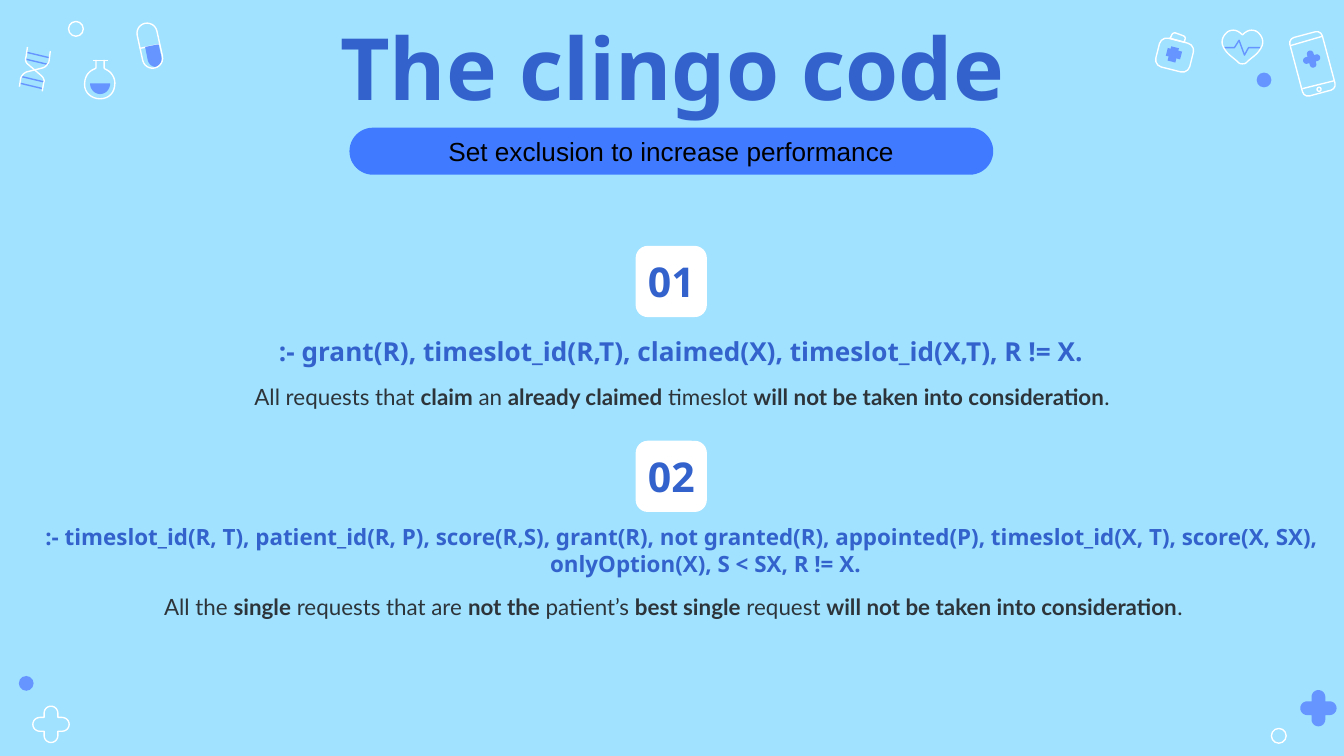
from math import cos, radians, sin
from pptx import Presentation
from pptx.dml.color import RGBColor
from pptx.enum.shapes import MSO_CONNECTOR, MSO_SHAPE
from pptx.enum.text import MSO_ANCHOR, MSO_AUTO_SIZE, PP_ALIGN
from pptx.oxml.ns import qn
from pptx.util import Inches, Pt
from lxml import etree

ROUND, OVAL, RECT = MSO_SHAPE.ROUNDED_RECTANGLE, MSO_SHAPE.OVAL, MSO_SHAPE.RECTANGLE
TOP, MID, LOW = MSO_ANCHOR.TOP, MSO_ANCHOR.MIDDLE, MSO_ANCHOR.BOTTOM
WIDE = 10
HIGH = WIDE * 9 / 16
SKY, WHITE, SOFT = "A0E2FF", "FFFFFF", "6695FF"
BLUE, PILL, INK, BLACK = "3362CC", "407BFF", "2E353A", "000000"

# Content; asterisks switch bold on and off
TITLE = "The clingo code"
BANNER = "Set exclusion to increase performance"
RULES = [
    dict(num="01",
         code=":- grant(R), timeslot_id(R,T), claimed(X), timeslot_id(X,T), R != X.",
         size=14, spot=(0.92, 2.12, 8.15, 0.71),
         note="All requests that *claim* an *already claimed* timeslot "
              "*will not be taken into consideration*.",
         place=(0, 2.75, 10, 0.49)),
    dict(num="02",
         code=":- timeslot_id(R, T), patient_id(R, P), score(R,S), grant(R), "
              "not granted(R), appointed(P), timeslot_id(X, T), score(X, SX), "
              "onlyOption(X), S < SX, R != X.",
         size=12, spot=(-0.18, 3.68, 10.36, 0.71),
         note="All the *single* requests that are *not the* patient’s *best single* "
              "request *will not be taken into consideration*.",
         place=(-0.13, 4.31, 10.13, 0.78)),
]

# Icon outlines in hundredths of an inch: (x, y) is a line, six numbers a curve
# Each entry: fill, line, closed, path
ICONS = [
    # DNA strands
    (None, WHITE, False, [(20.5, 35), (19.5, 42), (18.5, 45, 19.5, 47, 21, 48),
                          (31, 56.5), (32.5, 58, 33.5, 60, 32.5, 62), (31.5, 68)]),
    (None, WHITE, False, [(37.5, 38), (36.5, 46), (35.5, 48, 34.5, 49.5, 32, 50.5),
                          (20, 53.5), (17.5, 54.5, 16.5, 56, 15.5, 58), (14.5, 64.5)]),
    # Capsule filling
    (SOFT, None, True, [(108, 35), (110, 45), (111, 48, 113, 50, 117, 50),
                        (119, 49, 121, 46, 120, 42), (118, 33)]),
    # Flask liquid and glass
    (SOFT, None, True, [(67, 62), (67, 66, 70, 70, 74.5, 70), (79, 70, 82, 66, 82, 62)]),
    (None, WHITE, False, [(71.5, 44.5), (71.5, 50), (71.5, 51, 71, 51, 70, 51.5),
                          (65, 53.5, 63, 58, 63, 63), (63, 69, 68, 73.5, 74.5, 73.5),
                          (81, 73.5, 85.5, 69, 85.5, 62), (85.5, 57.5, 83, 53.5, 78.5, 51.5),
                          (77.5, 51, 77.5, 50.5, 77.5, 50), (77.5, 44.5)]),
    # Pulse and heart
    (None, SOFT, False, [(911, 35.5), (918.5, 35.5), (922, 30), (926, 41),
                         (929, 35.5), (938, 35.5)]),
    (None, WHITE, True, [(924.5, 26), (920, 21, 915, 22, 912.5, 24.5),
                         (908.5, 28.5, 908.5, 33, 911.5, 37), (914, 41, 918, 43, 921.5, 46.5),
                         (922.5, 47.5, 923.5, 47.5, 924.5, 47.5),
                         (925.5, 47.5, 926.5, 47.5, 927.5, 46.5),
                         (931, 43, 935, 41, 937.5, 37), (940.5, 33, 940.5, 28.5, 936.5, 24.5),
                         (934, 22, 929, 21, 924.5, 26)]),
    # Bag handle
    (None, WHITE, True, [(870.5, 28.5), (871.5, 27), (872, 25, 873, 24.5, 874.5, 24.5),
                         (880, 26.5), (881.5, 27, 882.5, 28, 881.5, 30), (881.5, 31.5)]),
]
# Kind, place, fill, line, turn, corner
SHAPES = [
    (ROUND, (1.04, 0.17, 0.15, 0.34), None, WHITE, 347.6, 0.5),
    (ROUND, (8.61, 0.3, 0.26, 0.22), None, WHITE, 14.2, 0.25),
    (RECT, (8.7, 0.35, 0.06, 0.11), SOFT, None, 14.2, None),
    (RECT, (8.68, 0.37, 0.11, 0.06), SOFT, None, 14.2, None),
    (ROUND, (9.64, 0.25, 0.25, 0.45), None, WHITE, 345, 0.17),
    (OVAL, (9.8, 0.65, 0.03, 0.03), None, WHITE, 345, None),
    (OVAL, (0.51, 0.16, 0.11, 0.11), None, WHITE, 0, None),
    (OVAL, (9.46, 5.42, 0.11, 0.11), None, WHITE, 0, None),
    (OVAL, (9.35, 0.54, 0.11, 0.11), SOFT, None, 0, None),
    (OVAL, (0.14, 5.03, 0.11, 0.11), SOFT, None, 0, None),
]
LINES = [(x, y, x + 0.17, y + 0.04, SOFT) for x, y in
         [(0.2, 0.39), (0.19, 0.44), (0.16, 0.57), (0.15, 0.62)]]
LINES += [(1.04, 0.36, 1.19, 0.33, WHITE), (0.69, 0.45, 0.8, 0.45, WHITE),
          (9.6, 0.34, 9.84, 0.27, WHITE), (9.69, 0.66, 9.93, 0.6, WHITE)]
# Centre, size, fill, line, turn
PLUSES = [(9.76, 0.44, 0.13, SOFT, None, 345),
          (0.38, 5.39, 0.27, None, WHITE, 0),
          (9.81, 5.27, 0.27, SOFT, None, 0)]


def tint(code):
    return RGBColor.from_string(code)


def paint(shape, fill, line, turn=0):
    shape.shadow.inherit = False
    if fill:
        shape.fill.solid()
        shape.fill.fore_color.rgb = tint(fill)
    else:
        shape.fill.background()
    if line:
        shape.line.color.rgb = tint(line)
        shape.line.width = Pt(0.75)
    else:
        shape.line.fill.background()
    shape.rotation = turn


def block(kind, place, fill, line=None, turn=0, corner=None):
    shape = slide.shapes.add_shape(kind, *map(Inches, place))
    if corner is not None:
        shape.adjustments[0] = corner
    paint(shape, fill, line, turn)
    return shape


def draw(points, fill, line, closed=True, turn=0):
    spots = [(Inches(x), Inches(y)) for x, y in points]
    form = slide.shapes.build_freeform(*spots[0], scale=1)
    form.add_line_segments(spots[1:], close=closed)
    paint(form.convert_to_shape(), fill, line, turn)


def trace(steps, parts=8):
    out = []
    for step in steps:
        if len(step) == 2:
            out.append(step)
            continue
        knots = [out[-1], step[:2], step[2:4], step[4:]]
        for i in range(1, parts + 1):
            t = i / parts
            mix = ((1 - t) ** 3, 3 * t * (1 - t) ** 2, 3 * t * t * (1 - t), t ** 3)
            out.append(tuple(sum(m * k[a] for m, k in zip(mix, knots)) for a in (0, 1)))
    return [(x / 100, y / 100) for x, y in out]


def plus(x, y, size, fill, line, turn):
    r = size * 0.19
    reach, points = size / 2 - r, []
    for arm in range(0, 360, 90):
        c, s = cos(radians(arm)), sin(radians(arm))
        for a in range(-90, 91, 15):
            b = radians(arm + a)
            points.append((x + reach * c + r * cos(b), y + reach * s + r * sin(b)))
        points.append((x + r * (c - s), y + r * (s + c)))
    draw(points, fill, line, turn=turn)


def write(shape, text, size, font, color, bold=False, anchor=TOP, hang=False):
    frame = shape.text_frame
    frame.word_wrap, frame.auto_size = True, MSO_AUTO_SIZE.NONE
    frame.vertical_anchor = anchor
    frame.margin_left = frame.margin_right = Inches(0.1)
    frame.margin_top = frame.margin_bottom = Inches(0.1)
    para = frame.paragraphs[0]
    para.alignment = PP_ALIGN.CENTER
    if hang:
        props = para._p.get_or_add_pPr()
        props.set("marL", str(Inches(0.5)))
        props.set("indent", str(Inches(-0.35)))
    for i, piece in enumerate(text.split("*")):
        run = para.add_run()
        run.text = piece
        run.font.size, run.font.name = Pt(size), font
        run.font.bold = bold or i % 2 == 1
        run.font.color.rgb = tint(color)


def box(place, *args, **opts):
    write(slide.shapes.add_textbox(*map(Inches, place)), *args, **opts)


deck = Presentation()
deck.slide_width, deck.slide_height = Inches(WIDE), Inches(HIGH)
slide = deck.slides.add_slide(deck.slide_layouts[5])
slide.background.fill.solid()
slide.background.fill.fore_color.rgb = tint(SKY)

# Corner icons
for x, y, right, low, color in LINES:
    link = slide.shapes.add_connector(MSO_CONNECTOR.STRAIGHT, *map(Inches, (x, y, right, low)))
    link.line.color.rgb, link.line.width = tint(color), Pt(0.75)
    etree.SubElement(link._element.spPr, qn("a:effectLst"))
for fill, line, closed, path in ICONS:
    draw(trace(path), fill, line, closed)
for item in SHAPES:
    block(*item)
for item in PLUSES:
    plus(*item)

# Title and banner
title = slide.shapes.title
title.left, title.top, title.width, title.height = map(Inches, (0.78, 0.01, 8.44, 0.77))
write(title, TITLE, 46, "Noto Sans", BLUE, bold=True)
write(block(ROUND, (2.6, 0.95, 4.79, 0.35), PILL, corner=0.5), BANNER, 14, "Arial", BLACK,
      anchor=MID)

# Numbered rules
for row, rule in enumerate(RULES):
    y = 1.83 + 1.45 * row
    box(rule["place"], rule["note"], 12, "Lato", INK, hang=True)
    box(rule["spot"], rule["code"], rule["size"], "Noto Sans", BLUE, bold=True,
        anchor=LOW, hang=True)
    block(ROUND, (4.73, y, 0.53, 0.53), WHITE, corner=0.17)
    box((4.62, y + 0.09, 0.75, 0.35), rule["num"], 22, "Noto Sans", BLUE, bold=True, anchor=MID)

deck.save("out.pptx")
